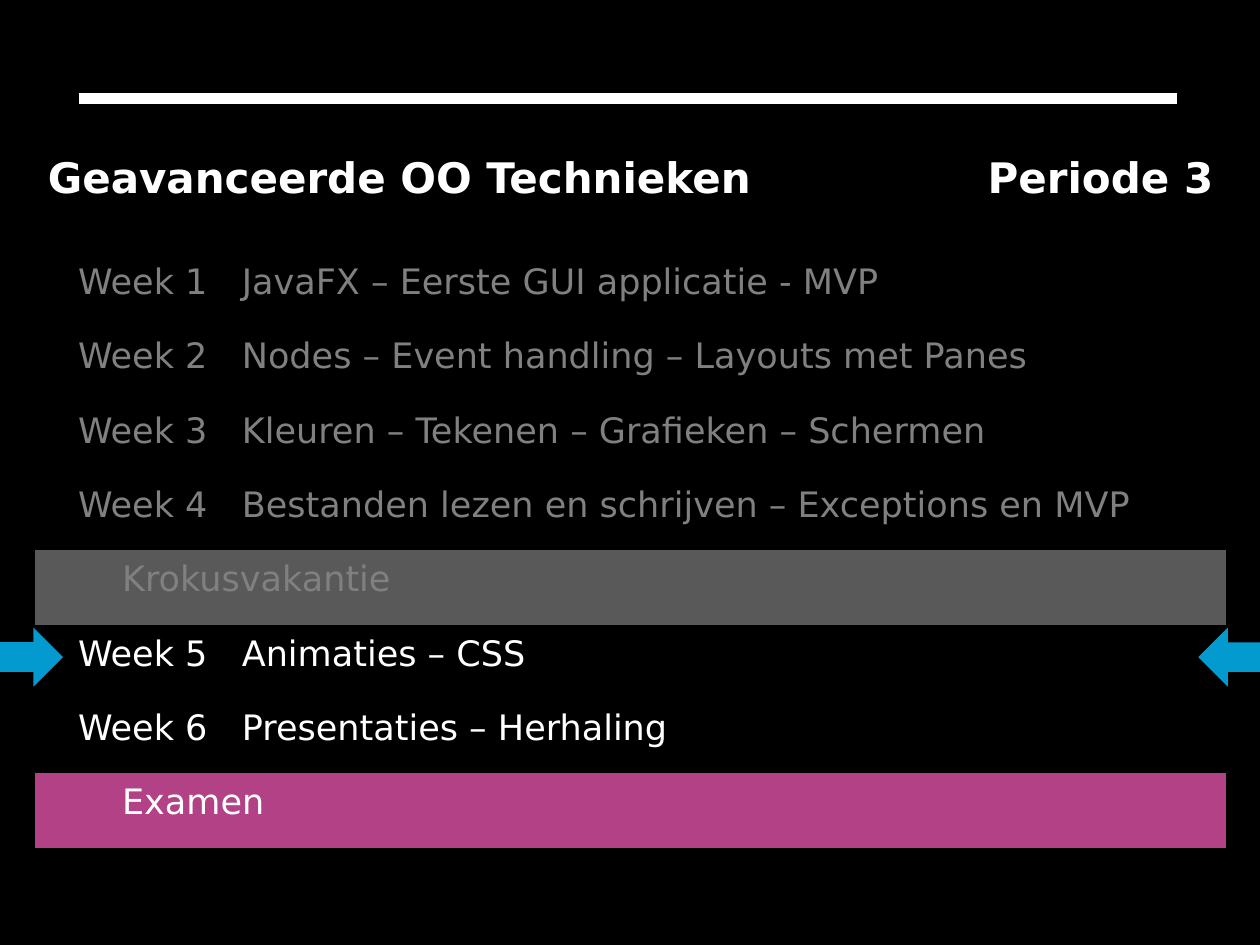
"""Build the course planning slide for period 3."""
import pptx
import pptx.util
import pptx.dml.color
import pptx.enum.shapes
import pptx.enum.text
import pptx.oxml.ns
from lxml import etree

THEME = {
    "font": "DejaVu Sans", "title_size": 24, "text_size": 20, "spacer_size": 6,
    "background": "000000", "text": "FFFFFF", "past": "808080",
    "break": "595959", "exam": "B34185", "arrow": "039BCF",
}
TITLE, PERIOD = "Geavanceerde OO Technieken", "Periode 3"
PLANNING = [
    ("Week 1", "JavaFX – Eerste GUI applicatie - MVP", "past", None),
    ("Week 2", "Nodes – Event handling – Layouts met Panes", "past", None),
    ("Week 3", "Kleuren – Tekenen – Grafieken – Schermen", "past", None),
    ("Week 4", "Bestanden lezen en schrijven – Exceptions en MVP", "past", None),
    ("Krokusvakantie", None, "past", "break"),
    ("Week 5", "Animaties – CSS", "text", None),
    ("Week 6", "Presentaties – Herhaling", "text", None),
    ("Examen", None, "text", "exam"),
]
CURRENT = "Week 5"
WIDTH, HEIGHT = 10, 7.5
COLUMNS = [0.23, 1.3, 5.53, 1.62, 0.76]
ROW, SPACER, FIRST_WEEK = 0.59, 0.26, 2
TABLE_LEFT, TABLE_TOP = (WIDTH - sum(COLUMNS)) / 2, 1.16
RULE_LEFT, RULE_RIGHT, RULE_TOP = 0.63, 9.34, 0.78
ARROW_WIDTH, ARROW_HEIGHT = 0.51, 0.47
BAND_INDENT = 0.45
NO_STYLE = "{2D5ABB26-0587-4C30-8999-92F81FD0307C}"

inches = pptx.util.Inches
qn = pptx.oxml.ns.qn


def color(name):
    return pptx.dml.color.RGBColor.from_string(THEME[name])


def paint(target, name):
    target.fill.solid()
    target.fill.fore_color.rgb = color(name)


def write(cell, text, size, tone, bold=False, indent=0.1):
    cell.margin_left, cell.margin_right = inches(indent), inches(0.1)
    cell.margin_top = cell.margin_bottom = inches(0.07)
    paragraph = cell.text_frame.paragraphs[0]
    run = paragraph.add_run()
    run.text = text
    run.font.name, run.font.size = THEME["font"], pptx.util.Pt(THEME[size])
    run.font.bold, run.font.color.rgb = bold, color(tone)
    return paragraph


def clear(cell):
    cell.fill.background()
    cell.margin_top = cell.margin_bottom = 0
    paragraph = cell.text_frame.paragraphs[0]._p
    etree.SubElement(paragraph, qn("a:endParaRPr"), sz=str(THEME["spacer_size"] * 100))


def add_rule(slide):
    rule = slide.shapes.add_connector(
        pptx.enum.shapes.MSO_CONNECTOR.STRAIGHT,
        inches(RULE_LEFT), inches(RULE_TOP), inches(RULE_RIGHT), inches(RULE_TOP))
    rule.line.color.rgb, rule.line.width = color("text"), pptx.util.Pt(6)
    etree.SubElement(rule._element.spPr, qn("a:effectLst"))


def add_planning(slide):
    heights = [ROW, SPACER] + [ROW] * len(PLANNING)
    frame = slide.shapes.add_table(
        len(heights), len(COLUMNS), inches(TABLE_LEFT), inches(TABLE_TOP),
        inches(sum(COLUMNS)), inches(sum(heights)))
    table = frame.table
    table.first_row = table.horz_banding = False
    table._tbl.tblPr.find(qn("a:tableStyleId")).text = NO_STYLE
    for column, width in zip(table.columns, COLUMNS):
        column.width = inches(width)
    for row, height in zip(table.rows, heights):
        row.height = inches(height)
        for cell in row.cells:
            clear(cell)

    def span(row, first, last):
        table.cell(row, first).merge(table.cell(row, last))
        return table.cell(row, first)

    write(span(0, 0, 2), TITLE, "title_size", "text", True)
    period = write(span(0, 3, 4), PERIOD, "title_size", "text", True)
    period.alignment = pptx.enum.text.PP_ALIGN.RIGHT
    span(1, 0, 4)
    for row, (label, topic, tone, band) in enumerate(PLANNING, FIRST_WEEK):
        if band:
            for cell in table.rows[row].cells:
                paint(cell, band)
            last = 4 if band == "break" else 3
            write(span(row, 1, last), label, "text_size", tone, indent=BAND_INDENT)
        else:
            write(table.cell(row, 1), label, "text_size", tone)
            write(span(row, 2, 4), topic, "text_size", tone)


def add_arrows(slide):
    index = [entry[0] for entry in PLANNING].index(CURRENT)
    top = TABLE_TOP + ROW + SPACER + index * ROW + 0.02
    for left, rotation in ((-0.01, 0), (WIDTH - ARROW_WIDTH + 0.02, 180)):
        arrow = slide.shapes.add_shape(
            pptx.enum.shapes.MSO_SHAPE.RIGHT_ARROW, inches(left), inches(top),
            inches(ARROW_WIDTH), inches(ARROW_HEIGHT))
        arrow.rotation = rotation
        arrow.shadow.inherit = False
        paint(arrow, "arrow")
        arrow.line.fill.background()


def main():
    presentation = pptx.Presentation()
    presentation.slide_width, presentation.slide_height = inches(WIDTH), inches(HEIGHT)
    slide = presentation.slides.add_slide(presentation.slide_layouts[6])
    paint(slide.background, "background")
    add_rule(slide)
    add_planning(slide)
    add_arrows(slide)
    presentation.save("out.pptx")


if __name__ == "__main__":
    main()
